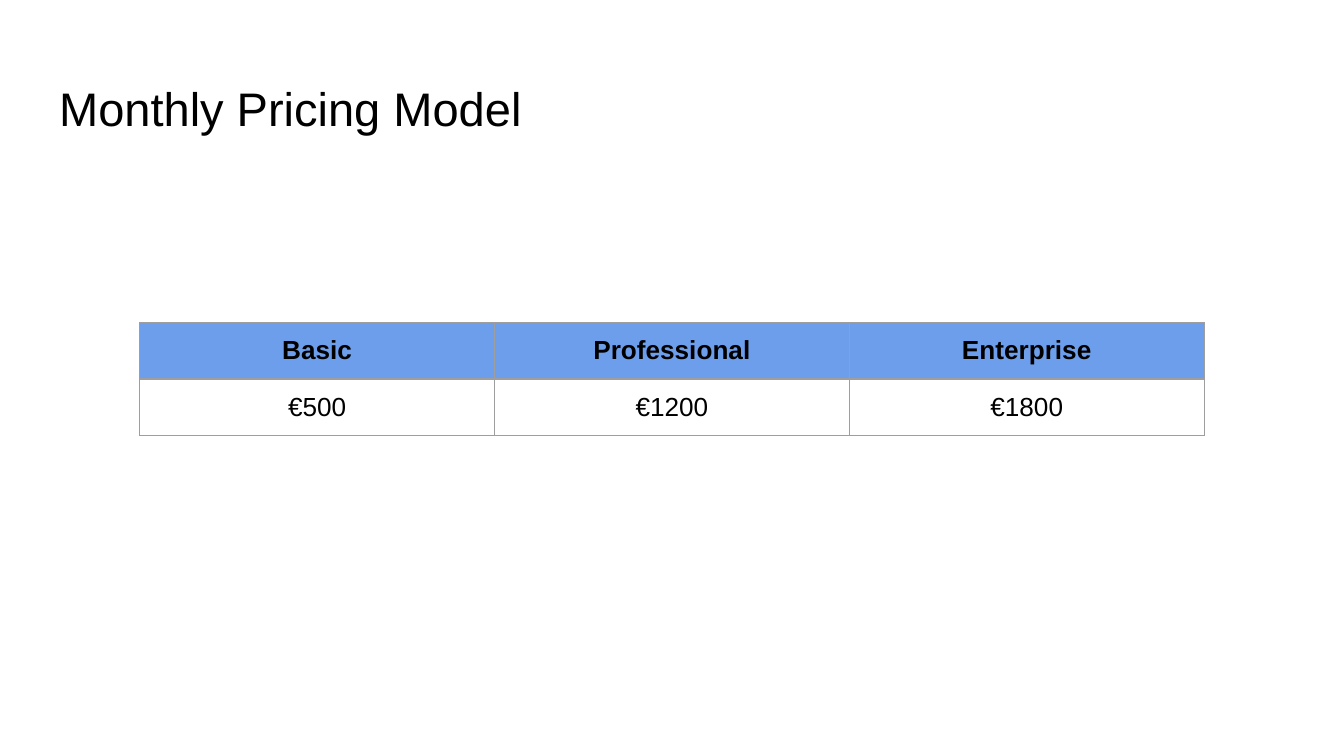
import pptx
import pptx.dml.color
import pptx.enum.text
import pptx.oxml
import pptx.oxml.ns
import pptx.util

WIDTH = 10
HEIGHT = WIDTH * 9 / 16
PLANS = [("Basic", "€500"), ("Professional", "€1200"), ("Enterprise", "€1800")]


def rgb(value):
    return pptx.dml.color.RGBColor.from_string(value)


class Deck:
    font = "Arial"
    ink = "000000"
    header = "6D9EEB"
    border = "9E9E9E"
    inset = pptx.util.Inches(0.1)

    def __init__(self):
        self.prs = pptx.Presentation()
        self.prs.slide_width = pptx.util.Inches(WIDTH)
        self.prs.slide_height = pptx.util.Inches(HEIGHT)
        self.s = self.prs.slides.add_slide(self.prs.slide_layouts[5])
        self.s.background.fill.solid()
        self.s.background.fill.fore_color.rgb = rgb("FFFFFF")

    def box(self, x, y, w, h):
        width, height = self.prs.slide_width, self.prs.slide_height
        return round(x * width), round(y * height), round(w * width), round(h * height)

    def style(self, p, size, align, bold=False):
        p.alignment = align
        p.font.name = self.font
        p.font.size = pptx.util.Pt(size)
        p.font.bold = bold
        p.font.color.rgb = rgb(self.ink)

    def pad(self, target):
        target.margin_left = target.margin_right = self.inset
        target.margin_top = target.margin_bottom = self.inset

    def title(self, text, *area):
        sp = self.s.shapes.title
        sp.left, sp.top, sp.width, sp.height = self.box(*area)
        tf = sp.text_frame
        tf.text = text
        tf.word_wrap = True
        tf.auto_size = pptx.enum.text.MSO_AUTO_SIZE.NONE
        tf.vertical_anchor = pptx.enum.text.MSO_ANCHOR.TOP
        self.pad(tf)
        self.style(tf.paragraphs[0], 25.2, pptx.enum.text.PP_ALIGN.LEFT)

    def outline(self, cell):
        tcPr = cell._tc.get_or_add_tcPr()
        for i, side in enumerate(("lnL", "lnR", "lnT", "lnB")):
            tcPr.insert(i, pptx.oxml.parse_xml(
                f'<a:{side} {pptx.oxml.ns.nsdecls("a")} w="{pptx.util.Pt(0.75)}">'
                f'<a:solidFill><a:srgbClr val="{self.border}"/></a:solidFill></a:{side}>'))

    def table(self, rows, *area):
        table = self.s.shapes.add_table(len(rows), len(rows[0]), *self.box(*area)).table
        table.horz_banding = False
        for i, row in enumerate(rows):
            for j, text in enumerate(row):
                cell = table.cell(i, j)
                cell.text = text
                self.pad(cell)
                self.style(cell.text_frame.paragraphs[0], 14,
                           pptx.enum.text.PP_ALIGN.CENTER, i == 0)
                if i == 0:
                    cell.fill.solid()
                    cell.fill.fore_color.rgb = rgb(self.header)
                else:
                    cell.fill.background()
                self.outline(cell)


def main():
    deck = Deck()
    deck.title("Monthly Pricing Model", 0.34 / WIDTH, 0.49 / HEIGHT, 9.32 / WIDTH, 0.63 / HEIGHT)
    deck.table(list(zip(*PLANS)), 1.04 / WIDTH, 2.4 / HEIGHT, 7.92 / WIDTH, 0.84 / HEIGHT)
    deck.prs.save("out.pptx")


if __name__ == "__main__":
    main()
